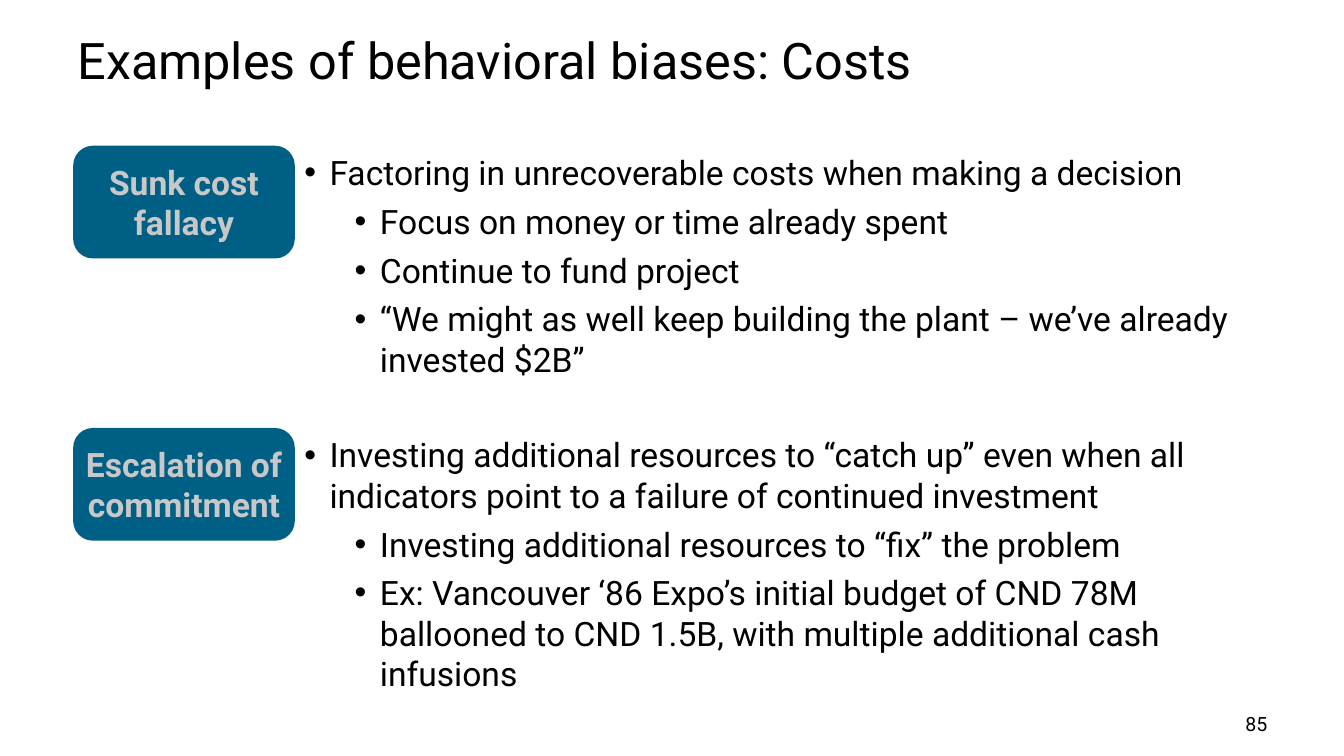
from pptx import Presentation
from pptx.dml.color import RGBColor
from pptx.enum.shapes import MSO_SHAPE
from pptx.enum.text import MSO_ANCHOR, PP_ALIGN
from pptx.oxml.ns import qn
from pptx.util import Inches, Pt
from lxml.etree import SubElement

BLACK = RGBColor(0x00, 0x00, 0x00)
TEAL = RGBColor(0x00, 0x5F, 0x85)
SILVER = RGBColor(0xC8, 0xC8, 0xC8)
FONT = "Roboto"

LABEL_WIDTH, LABEL_HEIGHT = 2.17, 1.09
LABEL_GAP = 0.01
BULLET_HANG = 0.25
LEVEL_STEP = 0.5

BIASES = [
    ("Sunk cost fallacy", (0.74, 1.46, 11.74, 2.37), [
        (0, "Factoring in unrecoverable costs when making a decision"),
        (1, "Focus on money or time already spent"),
        (1, "Continue to fund project"),
        (1, "“We might as well keep building the plant – we’ve already invested $2B”"),
    ]),
    ("Escalation of commitment", (0.74, 4.26, 11.74, 2.29), [
        (0, "Investing additional resources to “catch up” even when all indicators "
            "point to a failure of continued investment"),
        (1, "Investing additional resources to “fix” the problem"),
        (1, "Ex: Vancouver ‘86 Expo’s initial budget of CND 78M ballooned to "
            "CND 1.5B, with multiple additional cash infusions"),
    ]),
]


def write(para, text, size=24, color=BLACK, bold=False, align=PP_ALIGN.LEFT):
    para.alignment = align
    span = para.add_run()
    span.text = text
    span.font.name = FONT
    span.font.size = Pt(size)
    span.font.bold = bold
    span.font.color.rgb = color


def add_text_frame(page, box, anchor=MSO_ANCHOR.TOP):
    frame = page.shapes.add_textbox(*map(Inches, box)).text_frame
    frame.word_wrap = True
    frame.vertical_anchor = anchor
    return frame


def set_bullet(para, level):
    """Give a paragraph a hanging bullet at the indent of its level."""
    para.level = level
    properties = para._p.get_or_add_pPr()
    properties.set("marL", str(Inches(BULLET_HANG + level * LEVEL_STEP)))
    properties.set("indent", str(-Inches(BULLET_HANG)))
    SubElement(properties, qn("a:buFont"), typeface="Arial")
    SubElement(properties, qn("a:buChar"), char="•")


def add_label(page, box, text):
    label = page.shapes.add_shape(MSO_SHAPE.ROUNDED_RECTANGLE, *map(Inches, box))
    label.shadow.inherit = False
    label.fill.solid()
    label.fill.fore_color.rgb = TEAL
    label.line.color.rgb = TEAL
    label.line.width = Pt(2)
    frame = label.text_frame
    frame.word_wrap = True
    frame.vertical_anchor = MSO_ANCHOR.MIDDLE
    frame.margin_left = frame.margin_right = 0
    write(frame.paragraphs[0], text, color=SILVER, bold=True, align=PP_ALIGN.CENTER)


def add_bullets(page, box, points):
    frame = add_text_frame(page, box)
    for index, (level, text) in enumerate(points):
        para = frame.add_paragraph() if index else frame.paragraphs[0]
        set_bullet(para, level)
        para.space_after = Pt(6)
        write(para, text)


def add_bias(page, box, name, points):
    """Place a label at the left of the box and its bullets beside it."""
    left, top, width, height = box
    offset = LABEL_WIDTH + LABEL_GAP
    add_label(page, (left, top, LABEL_WIDTH, LABEL_HEIGHT), name)
    add_bullets(page, (left + offset, top, width - offset, height), points)


def add_title(page, box, text):
    frame = add_text_frame(page, box, MSO_ANCHOR.MIDDLE)
    write(frame.paragraphs[0], text, size=36)


def add_page_number(page, box, number):
    frame = add_text_frame(page, box)
    write(frame.paragraphs[0], number, size=14, align=PP_ALIGN.RIGHT)


def main():
    deck = Presentation()
    deck.slide_width, deck.slide_height = Inches(13.33), Inches(7.5)
    page = deck.slides.add_slide(deck.slide_layouts[6])
    add_title(page, (0.67, 0.23, 12, 0.71), "Examples of behavioral biases: Costs")
    for name, box, points in BIASES:
        add_bias(page, box, name, points)
    add_page_number(page, (9.56, 7.01, 3.11, 0.34), "85")
    deck.save("out.pptx")


if __name__ == "__main__":
    main()
